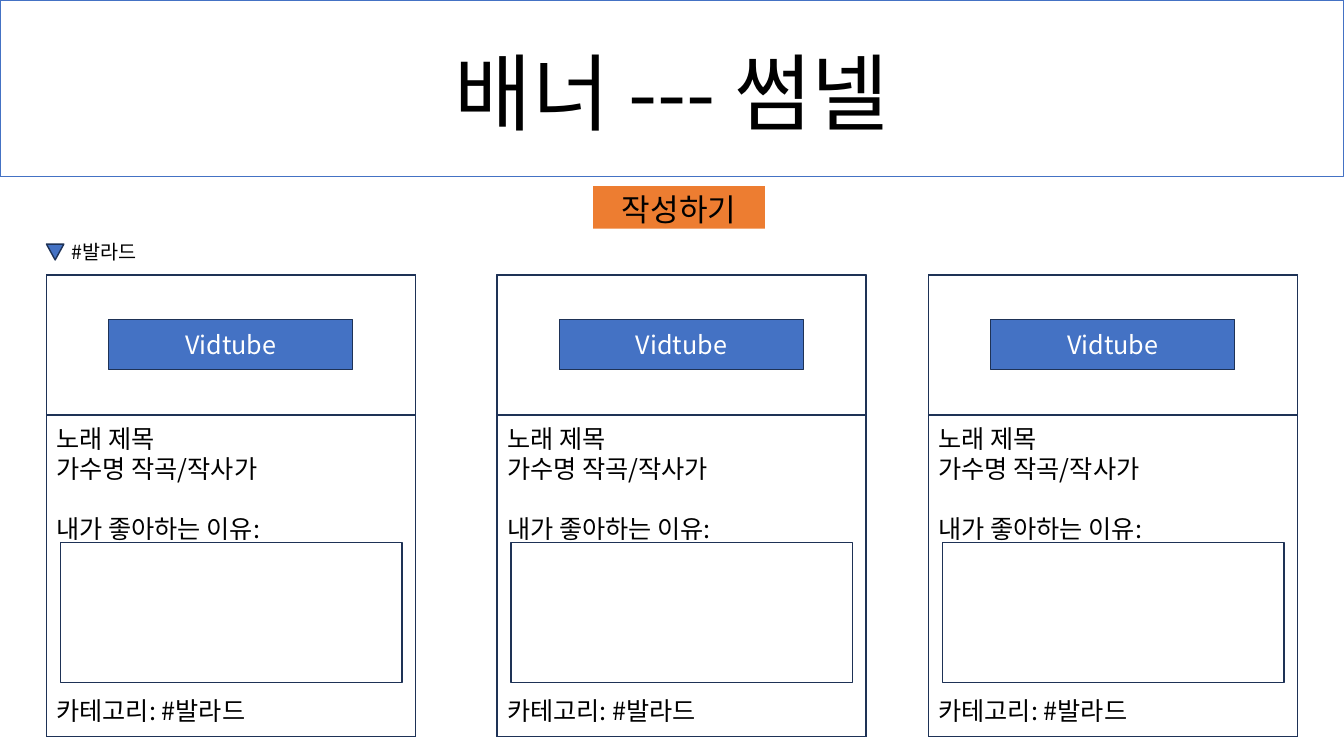
from pptx import Presentation
from pptx.dml.color import RGBColor
from pptx.enum.shapes import MSO_SHAPE as Shape
from pptx.enum.text import MSO_ANCHOR as Anchor, MSO_AUTO_SIZE as AutoSize, PP_ALIGN as Align
from pptx.oxml.ns import qn
from pptx.util import Cm, Pt
from lxml.etree import SubElement

BLUE, NAVY, ORANGE = "4472C4", "1E3256", "ED7D31"
BLACK, WHITE = "000000", "FFFFFF"


def color(value):
    return RGBColor.from_string(value)


class Page:
    font = "Noto Sans CJK KR"

    def __init__(self, presentation):
        self.slide = presentation.slides.add_slide(presentation.slide_layouts[5])

    def place(self, shape, left, top, width, height):
        shape.left, shape.top = Cm(left), Cm(top)
        shape.width, shape.height = Cm(width), Cm(height)

    def paint(self, shape, fill=None, line=None, weight=1):
        if fill:
            shape.fill.solid()
            shape.fill.fore_color.rgb = color(fill)
        else:
            shape.fill.background()
        if line:
            shape.line.color.rgb = color(line)
            shape.line.width = Pt(weight)
        else:
            shape.line.fill.background()

    def add_lines(self, shape, lines, size, ink=BLACK, align=Align.CENTER,
                  anchor=Anchor.MIDDLE, spacing=None, top=0.13, bottom=0.13):
        """Each line is a text and the points of space before it."""
        frame = shape.text_frame
        frame.word_wrap = True
        frame.auto_size = AutoSize.NONE
        frame.vertical_anchor = anchor
        frame.margin_left = frame.margin_right = Cm(0.25)
        frame.margin_top, frame.margin_bottom = Cm(top), Cm(bottom)
        for index, (text, before) in enumerate(lines):
            paragraph = frame.add_paragraph() if index else frame.paragraphs[0]
            paragraph.alignment = align
            paragraph.space_before = Pt(before)
            if spacing:
                paragraph.line_spacing = Pt(spacing)
            run = paragraph.add_run()
            run.text = text
            run.font.size = Pt(size)
            run.font.name = self.font
            run.font.color.rgb = color(ink)
            # Hangul takes the East Asian typeface
            SubElement(run.font._element, qn("a:ea"), typeface=self.font)

    def title(self, text, box, size, spacing):
        shape = self.slide.shapes.title
        self.place(shape, *box)
        self.paint(shape, line=BLUE, weight=0.75)
        self.add_lines(shape, [(text, 0)], size, spacing=spacing)

    def shape(self, box, fill=None, line=NAVY, kind=Shape.RECTANGLE):
        shape = self.slide.shapes.add_shape(kind, *map(Cm, box))
        shape.shadow.inherit = False
        self.paint(shape, fill, line)
        return shape

    def label(self, text, box, size, spacing):
        shape = self.slide.shapes.add_textbox(*map(Cm, box))
        self.add_lines(shape, [(text, 0)], size, anchor=Anchor.BOTTOM, spacing=spacing)

    def card(self, left):
        top, width, header, height = 6.93, 9.3, 3.53, 11.63
        self.shape((left, top, width, height))
        self.shape((left, top, width, header))
        video = self.shape((left + 1.57, top + 1.12, 6.15, 1.27), BLUE)
        self.add_lines(video, [("Vidtube", 0)], 18, WHITE)
        details = self.shape((left, top + header, width, height - header))
        line = 21.6
        self.add_lines(details, [("노래 제목", 0), ("가수명 작곡/작사가", 0),
                                 ("내가 좋아하는 이유:", line), ("카테고리: #발라드", 5 * line)],
                       18, align=Align.LEFT, anchor=Anchor.TOP, spacing=line, top=0.2)
        self.shape((left + 0.35, top + 6.74, 8.61, 3.53))


def main():
    presentation = Presentation()
    presentation.slide_width, presentation.slide_height = Cm(33.87), Cm(19.05)
    page = Page(presentation)

    # Banner and compose button
    page.title("배너 --- 썸넬", (0, 0, 33.87, 4.45), 60, 76)
    button = page.shape((14.95, 4.69, 4.33, 1.07), ORANGE, None)
    page.add_lines(button, [("작성하기", 0)], 22.2, anchor=Anchor.BOTTOM,
                   spacing=21.3, bottom=0.03)

    # Song cards
    for left in (1.17, 12.53, 23.4):
        page.card(left)

    # Category selector
    page.label("#발라드", (1.17, 5.69, 2.92, 1.07), 14, 15.1)
    marker = page.shape((1.17, 6.15, 0.44, 0.4), BLUE, kind=Shape.ISOSCELES_TRIANGLE)
    marker.rotation = 180

    presentation.save("out.pptx")


if __name__ == "__main__":
    main()
